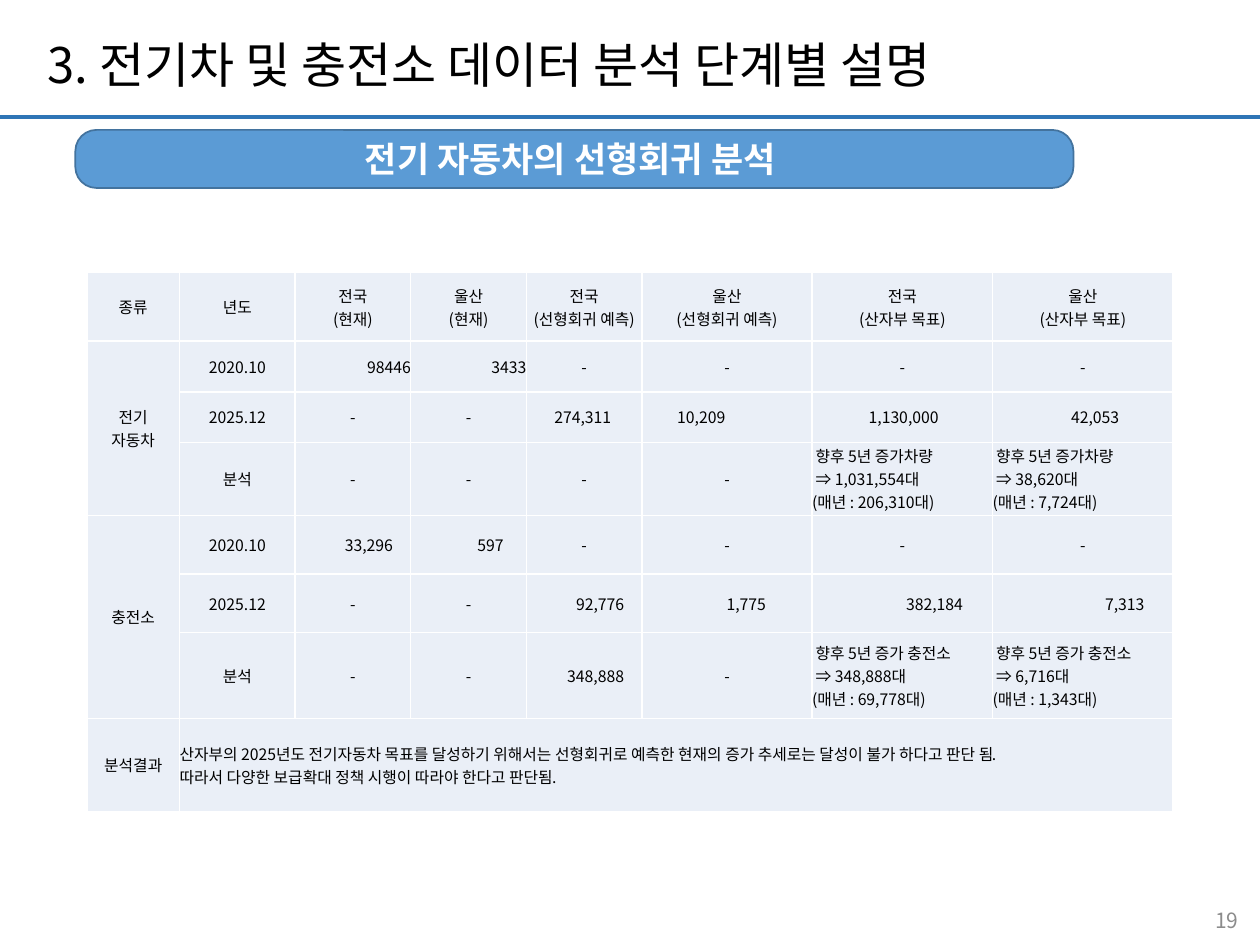
from copy import deepcopy

from lxml.etree import SubElement
from pptx import Presentation
from pptx.dml.color import RGBColor
from pptx.enum.shapes import MSO_CONNECTOR, MSO_SHAPE
from pptx.enum.text import MSO_ANCHOR, PP_ALIGN
from pptx.oxml.ns import qn
from pptx.util import Cm, Pt

FONT = "Noto Sans CJK KR"
COLORS = {
    "text": "000000",
    "white": "FFFFFF",
    "rule": "2E75B6",
    "banner": "5B9BD5",
    "banner_line": "43739E",
    "cell": "EAEFF7",
    "page": "8C8C8C",
}
COLUMN_WIDTHS = [1.87] + [2.33] * 4 + [3.43, 3.64, 3.64]
ROW_HEIGHTS = [1.39, 1.02, 1.02, 1.47, 1.18, 1.18, 1.73, 1.88]
ROWS = [
    ["종류", "년도", "전국\n(현재)", "울산\n(현재)", "전국\n(선형회귀 예측)",
     "울산\n(선형회귀 예측)", "전국\n(산자부 목표)", "울산\n(산자부 목표)"],
    ["전기\n자동차", "2020.10", "98446", "3433", "-", "-", "-", "-"],
    ["", "2025.12", "-", "-", "274,311", "10,209", "1,130,000", "42,053"],
    ["", "분석", "-", "-", "-", "-",
     " 향후 5년 증가차량\n ⇒ 1,031,554대\n(매년 : 206,310대)",
     " 향후 5년 증가차량\n ⇒ 38,620대\n(매년 : 7,724대)"],
    ["충전소", "2020.10", "33,296", "597", "-", "-", "-", "-"],
    ["", "2025.12", "-", "-", "92,776", "1,775", "382,184", "7,313"],
    ["", "분석", "-", "-", "348,888", "-",
     " 향후 5년 증가 충전소\n ⇒ 348,888대\n(매년 : 69,778대)",
     " 향후 5년 증가 충전소\n ⇒ 6,716대\n(매년 : 1,343대)"],
    ["분석결과",
     "산자부의 2025년도 전기자동차 목표를 달성하기 위해서는 선형회귀로 예측한 "
     "현재의 증가 추세로는 달성이 불가 하다고 판단 됨.\n"
     "따라서 다양한 보급확대 정책 시행이 따라야 한다고 판단됨."],
]
RIGHT_MARGINS = {
    (1, 2): 0, (1, 3): 0,
    (2, 4): 0.62, (2, 5): 1.75, (2, 6): 1.09, (2, 7): 1.09,
    (4, 2): 0.36, (4, 3): 0.46,
    (5, 4): 0.36, (5, 5): 0.93, (5, 6): 0.6, (5, 7): 0.58,
    (6, 4): 0.36,
}
LEFT_CELLS = {(3, 6), (3, 7), (6, 6), (6, 7), (7, 1)}
MERGES = [((1, 0), (3, 0)), ((4, 0), (6, 0)), ((7, 1), (7, 7))]


def rgb(name):
    """Return a palette colour."""
    return RGBColor.from_string(COLORS[name])


def write_text(text_frame, text, size=9, color="text", bold=False,
               align=PP_ALIGN.LEFT, spacing=None):
    """Write one formatted paragraph whose newlines become line breaks."""
    paragraph = text_frame.paragraphs[0]
    paragraph.text = text
    paragraph.alignment = align
    if spacing:
        paragraph.line_spacing = spacing
    for run in paragraph.runs:
        run.font.size = Pt(size)
        run.font.bold = bold
        run.font.color.rgb = rgb(color)
        run.font.name = FONT
        properties = run._r.get_or_add_rPr()
        SubElement(properties, qn("a:ea"), typeface=FONT)
    for line_break in paragraph._p.findall(qn("a:br")):
        line_break.append(deepcopy(properties))


def add_text_box(slide, text, left, top, width, height, **text_format):
    """Add a wrapping text box centred vertically."""
    shape = slide.shapes.add_textbox(Cm(left), Cm(top), Cm(width), Cm(height))
    shape.text_frame.word_wrap = True
    shape.text_frame.vertical_anchor = MSO_ANCHOR.MIDDLE
    write_text(shape.text_frame, text, **text_format)


def add_rule(slide, top, width):
    """Add the horizontal rule under the title."""
    connector = slide.shapes.add_connector(
        MSO_CONNECTOR.STRAIGHT, Cm(0), Cm(top), Cm(width), Cm(top))
    connector.line.color.rgb = rgb("rule")
    connector.line.width = Pt(2.25)
    SubElement(connector._element.spPr, qn("a:effectLst"))


def add_banner(slide, text, left, top, width, height):
    """Add the rounded heading above the table."""
    shape = slide.shapes.add_shape(
        MSO_SHAPE.ROUNDED_RECTANGLE, Cm(left), Cm(top), Cm(width), Cm(height))
    shape.adjustments[0] = 0.364
    shape.shadow.inherit = False
    shape.fill.solid()
    shape.fill.fore_color.rgb = rgb("banner")
    shape.line.color.rgb = rgb("banner_line")
    shape.line.width = Pt(1)
    shape.text_frame.vertical_anchor = MSO_ANCHOR.MIDDLE
    write_text(shape.text_frame, text, size=20, color="white", bold=True,
               align=PP_ALIGN.CENTER)


def style_cell(cell, right_margin=0):
    """Give a cell its margins, white borders and fill."""
    cell.margin_left = cell.margin_top = cell.margin_bottom = 0
    cell.margin_right = Cm(right_margin)
    cell.vertical_anchor = MSO_ANCHOR.MIDDLE
    properties = cell._tc.get_or_add_tcPr()
    for side in ("lnL", "lnR", "lnT", "lnB"):
        border = SubElement(properties, qn(f"a:{side}"), w=str(Pt(1)))
        fill = SubElement(border, qn("a:solidFill"))
        SubElement(fill, qn("a:srgbClr"), val=COLORS["white"])
    cell.fill.solid()
    cell.fill.fore_color.rgb = rgb("cell")


def cell_alignment(position):
    """Return the alignment of the cell at a row and column."""
    if position in RIGHT_MARGINS:
        return PP_ALIGN.RIGHT
    return PP_ALIGN.LEFT if position in LEFT_CELLS else PP_ALIGN.CENTER


def add_analysis_table(slide, left, top):
    """Add the table of vehicles and charging stations."""
    table = slide.shapes.add_table(
        len(ROW_HEIGHTS), len(COLUMN_WIDTHS), Cm(left), Cm(top),
        Cm(sum(COLUMN_WIDTHS)), Cm(sum(ROW_HEIGHTS))).table
    table.first_row = table.horz_banding = False
    for column, width in zip(table.columns, COLUMN_WIDTHS):
        column.width = Cm(width)
    for row, height in zip(table.rows, ROW_HEIGHTS):
        row.height = Cm(height)
    for start, end in MERGES:
        table.cell(*start).merge(table.cell(*end))
    for row_index in range(len(ROW_HEIGHTS)):
        for column_index in range(len(COLUMN_WIDTHS)):
            position = (row_index, column_index)
            style_cell(table.cell(*position), RIGHT_MARGINS.get(position, 0))
    for row_index, texts in enumerate(ROWS):
        for column_index, text in enumerate(texts):
            position = (row_index, column_index)
            if text:
                write_text(table.cell(*position).text_frame, text,
                           align=cell_alignment(position))


def main():
    """Build and save the slide."""
    presentation = Presentation()
    presentation.slide_width = Cm(25.4)
    presentation.slide_height = Cm(19.05)
    slide = presentation.slides.add_slide(presentation.slide_layouts[6])
    add_rule(slide, 2.36, 25.4)
    add_text_box(slide, "19", 19.3, 18.03, 5.92, 1.02, size=12, color="page",
                 align=PP_ALIGN.RIGHT)
    add_text_box(slide, "3. 전기차 및 충전소 데이터 분석 단계별 설명",
                 0.71, 0.69, 24, 1.35, size=28, spacing=0.9)
    add_banner(slide, "전기 자동차의 선형회귀 분석 ", 1.52, 2.62, 20.12, 1.17)
    add_analysis_table(slide, 1.75, 5.49)
    presentation.save("out.pptx")


if __name__ == "__main__":
    main()
